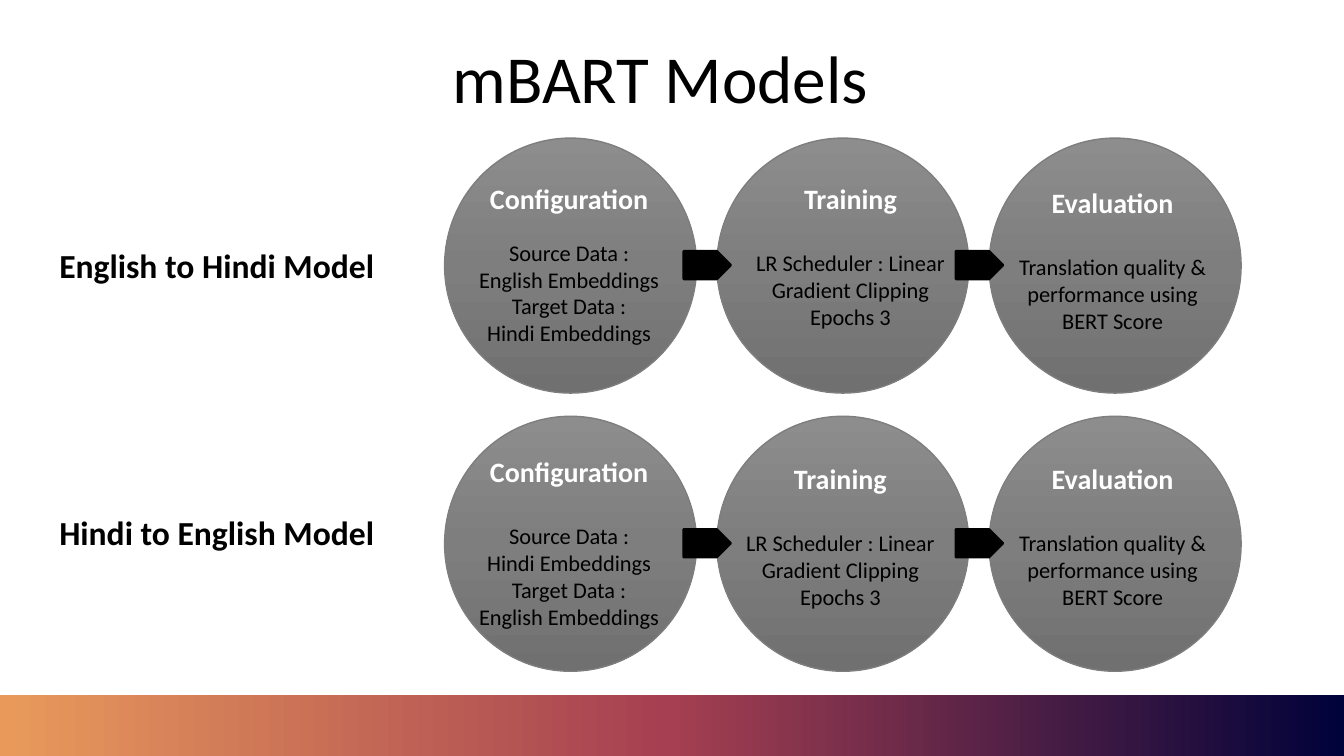
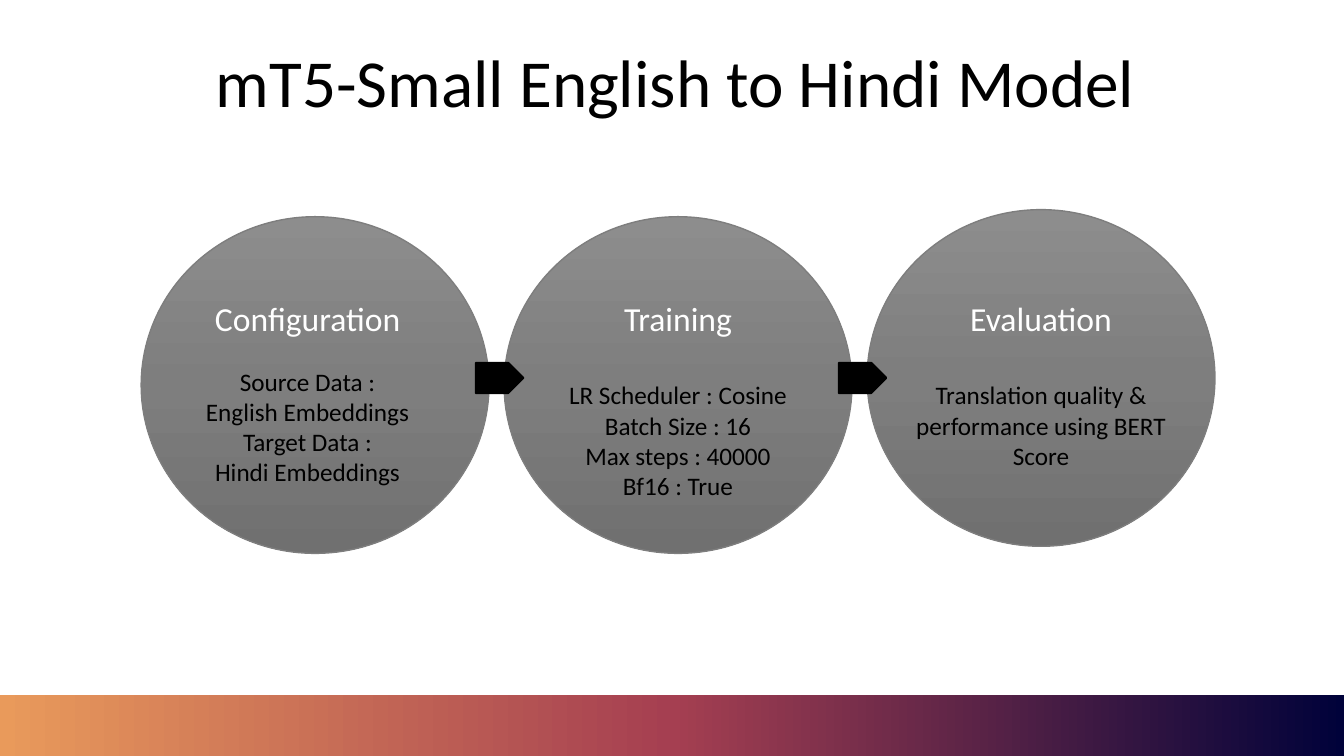
from collections import namedtuple
from copy import deepcopy

from pptx import Presentation
from pptx import util as u
from pptx.dml.color import RGBColor
from pptx.enum import shapes, text

PX = 9144  # EMU in one px, 100 px to the inch
SLIDE_WIDTH, SLIDE_HEIGHT = 1333, 750
BAND_HEIGHT = 61
FONT = "Calibri"
COLORS = {
    "ink": "000000",
    "heading": "FFFFFF",
    "band_start": "E99A5B",
    "band_middle": "A53F51",
    "band_end": "00023A",
    "disc_light": "8D8D8D",
    "disc": "7E7E7E",
    "disc_dark": "707070",
}

Box = namedtuple("Box", "left top width height")
# A stage's caption box is relative to its disc; gap is in points.
Stage = namedtuple("Stage", "heading lines caption gap lift", defaults=(0,))
Style = namedtuple("Style", "heading_size body_size bold arrow_height")

COMPACT = Style(20, 16, True, 28)
LARGE = Style(24, 18, False, 30)
ENGLISH_TO_HINDI = ["Source Data :", "English Embeddings", "Target Data :", "Hindi Embeddings"]
HINDI_TO_ENGLISH = ["Source Data :", "Hindi Embeddings", "Target Data :", "English Embeddings"]
LINEAR_TRAINING = ["LR Scheduler : Linear", "Gradient Clipping", "Epochs 3"]
COSINE_TRAINING = ["LR Scheduler : Cosine", "Batch Size : 16", "Max steps : 40000", "Bf16 : True"]
SCORING = ["Translation quality & performance using BERT Score"]


def color(name):
    return RGBColor.from_string(COLORS[name])


def emu(box):
    return [u.Emu(length * PX) for length in box]


def add_shape(slide, kind, box):
    shape = slide.shapes.add_shape(kind, *emu(box))
    shape.shadow.inherit = False
    return shape


def fill_gradient(shape, names, angle):
    """Spread three colours evenly; the angle runs counter-clockwise."""
    fill = shape.fill
    fill.gradient()
    fill.gradient_angle = angle
    stop_list = shape.element.spPr.find(".//{*}gsLst")
    stop_list.append(deepcopy(stop_list[0]))
    for index, (stop, name) in enumerate(zip(fill.gradient_stops, names)):
        stop.position = index / 2
        stop.color.rgb = color(name)


def add_text_box(slide, box):
    frame = slide.shapes.add_textbox(*emu(box)).text_frame
    frame.word_wrap = True
    frame.auto_size = text.MSO_AUTO_SIZE.SHAPE_TO_FIT_TEXT
    return frame


def write(paragraph, words, size, name="ink", bold=False, align=text.PP_ALIGN.CENTER):
    paragraph.alignment = align
    run = paragraph.add_run()
    run.text = words
    run.font.name = FONT
    run.font.size = u.Pt(size)
    run.font.bold = bold
    run.font.color.rgb = color(name)


def add_slide(presentation, title, title_box):
    """Add a slide with the shared bottom band and title."""
    slide = presentation.slides.add_slide(presentation.slide_layouts[6])
    band_box = Box(0, SLIDE_HEIGHT - BAND_HEIGHT, SLIDE_WIDTH, BAND_HEIGHT)
    band = add_shape(slide, shapes.MSO_SHAPE.RECTANGLE, band_box)
    fill_gradient(band, ["band_start", "band_middle", "band_end"], 0)
    band.line.fill.background()
    write(add_text_box(slide, title_box).paragraphs[0], title, 48)
    return slide


def add_disc(slide, box):
    disc = add_shape(slide, shapes.MSO_SHAPE.OVAL, box)
    fill_gradient(disc, ["disc_light", "disc", "disc_dark"], 270)
    disc.line.color.rgb = color("disc")
    disc.line.width = u.Pt(1)


def add_caption(slide, disc_box, stage, style):
    left, top, width, height = stage.caption
    box = Box(disc_box.left + left, disc_box.top + top, width, height)
    frame = add_text_box(slide, box)
    write(frame.paragraphs[0], stage.heading, style.heading_size, "heading", style.bold)
    for index, line in enumerate(stage.lines):
        paragraph = frame.add_paragraph()
        if index == 0:
            paragraph.space_before = u.Pt(stage.gap)
        write(paragraph, line, style.body_size)


def add_arrow(slide, box):
    arrow = add_shape(slide, shapes.MSO_SHAPE.PENTAGON, box)
    arrow.fill.solid()
    arrow.fill.fore_color.rgb = color("ink")
    arrow.line.color.rgb = color("ink")
    arrow.line.width = u.Pt(1.5)


def add_pipeline(slide, first_disc, pitch, stages, style):
    """Draw discs in a row, with arrows level with the last disc's centre."""
    discs = [
        first_disc._replace(left=first_disc.left + index * pitch, top=first_disc.top - stage.lift)
        for index, stage in enumerate(stages)
    ]
    for disc, stage in zip(discs, stages):
        add_disc(slide, disc)
        add_caption(slide, disc, stage, style)
    arrow_top = discs[-1].top + (first_disc.height - style.arrow_height) // 2
    for disc in discs[:-1]:
        add_arrow(slide, Box(disc.left + disc.width - 13, arrow_top, 47, style.arrow_height))


def add_row_label(slide, box, words):
    paragraph = add_text_box(slide, box).paragraphs[0]
    write(paragraph, words, 24, bold=True, align=text.PP_ALIGN.LEFT)


def add_mbart_slide(presentation):
    slide = add_slide(presentation, "mBART Models", Box(165, 31, 980, 91))
    rows = [
        ("English to Hindi Model", 238, 137, [
            Stage("Configuration", ENGLISH_TO_HINDI, Box(10, 38, 227, 175), 17),
            Stage("Training", LINEAR_TRAINING, Box(25, 38, 215, 158), 24.4),
            Stage("Evaluation", SCORING, Box(15, 42, 215, 158), 24.4),
        ]),
        ("Hindi to English Model", 503, 413, [
            Stage("Configuration", HINDI_TO_ENGLISH, Box(10, 33, 227, 222), 24.4),
            Stage("Training", LINEAR_TRAINING, Box(15, 40, 215, 158), 24.4),
            Stage("Evaluation", SCORING, Box(15, 40, 215, 158), 24.4),
        ]),
    ]
    for label, label_top, disc_top, stages in rows:
        add_row_label(slide, Box(49, label_top, 356, 50), label)
        add_pipeline(slide, Box(441, disc_top, 250, 253), 270, stages, COMPACT)


def add_mt5_slide(presentation):
    slide = add_slide(presentation, "mT5-Small English to Hindi Model", Box(108, 35, 1124, 91))
    stages = [
        Stage("Configuration", ENGLISH_TO_HINDI, Box(9, 76, 312, 199), 19.5),
        Stage("Training", COSINE_TRAINING, Box(24, 76, 297, 212), 29.3),
        Stage("Evaluation", SCORING, Box(24, 83, 297, 182), 29.3, lift=7),
    ]
    add_pipeline(slide, Box(140, 215, 345, 334), 360, stages, LARGE)


def main():
    presentation = Presentation()
    presentation.slide_width = u.Emu(SLIDE_WIDTH * PX)
    presentation.slide_height = u.Emu(SLIDE_HEIGHT * PX)
    add_mbart_slide(presentation)
    add_mt5_slide(presentation)
    presentation.save("out.pptx")


if __name__ == "__main__":
    main()
